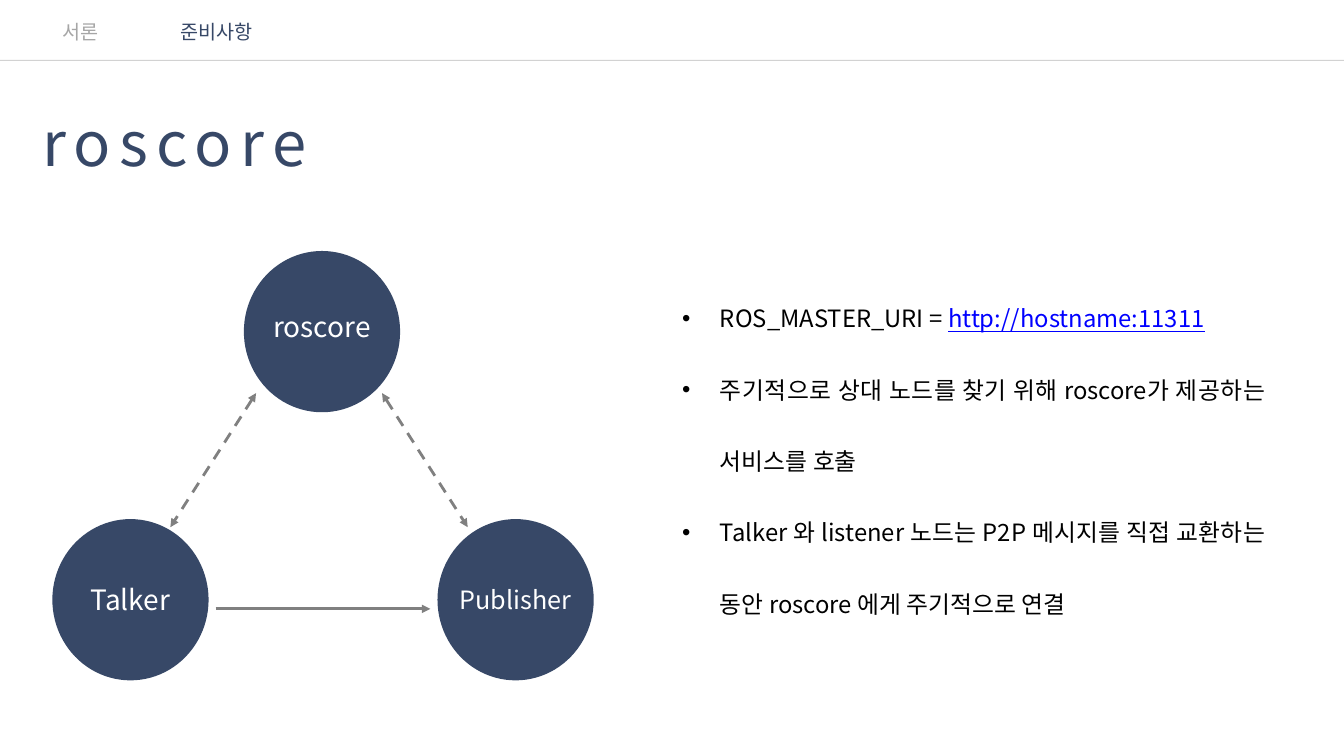
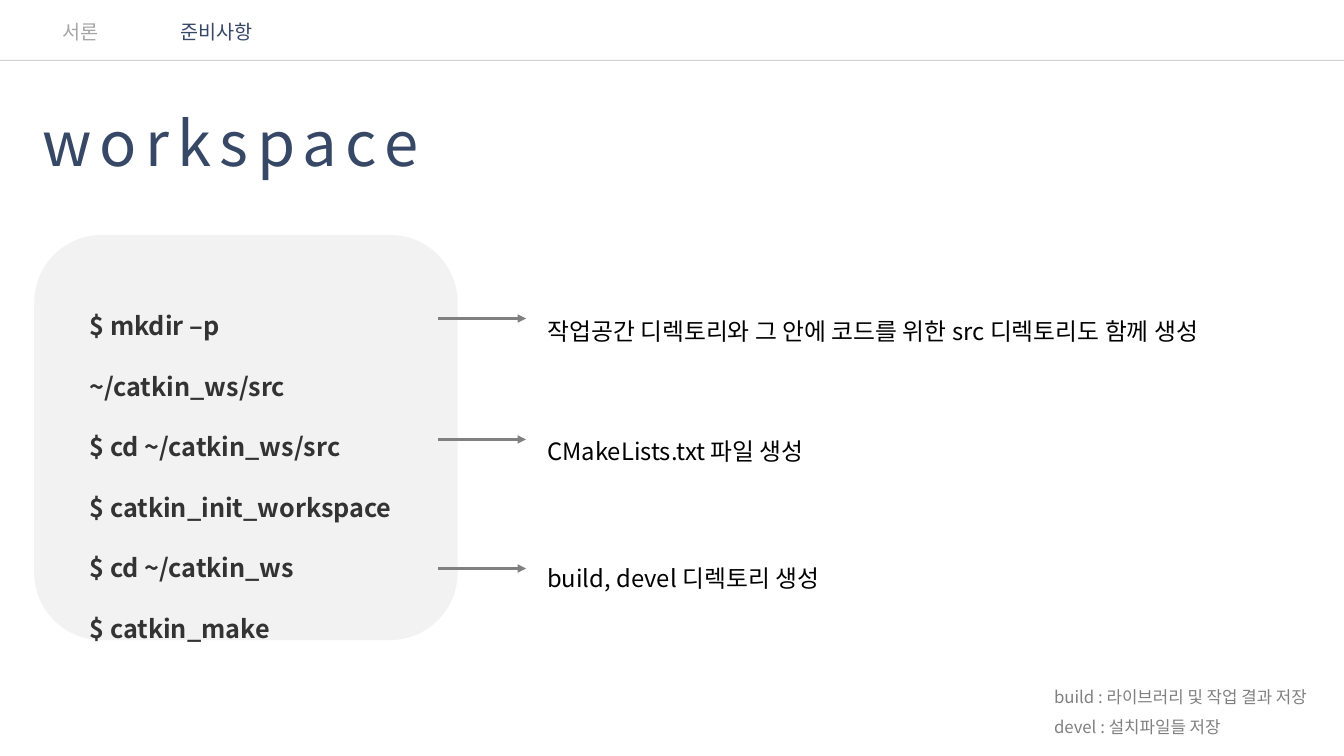
from pptx import Presentation
from pptx.dml.color import RGBColor
from pptx.enum.dml import MSO_LINE
from pptx.enum.shapes import MSO_CONNECTOR, MSO_SHAPE
from pptx.enum.text import MSO_ANCHOR, MSO_AUTO_SIZE, PP_ALIGN
from pptx.oxml.ns import qn
from pptx.util import Pt
from lxml.etree import SubElement

FONT = "Noto Sans CJK KR"
COLORS = {
    "navy": "374867", "pale": "A6A6A6", "gray": "808080", "panel": "F2F2F2",
    "code": "333333", "black": "000000", "white": "FFFFFF", "link": "0000FF",
}
PAGE_WIDTH, PAGE_HEIGHT = 960, 540
HEADER_Y = 43.2

# Section name, left, width, colour
SECTIONS = [("준비사항", 110.2, 89.3, "navy"), ("서론", 15.1, 85, "pale")]

# Label, left, top, text size, lift of the label above the centre
NODE_WIDTH, NODE_HEIGHT = 111.6, 115.2
NODES = [
    ("roscore", 174.2, 179.3, 20, 4),
    ("Publisher", 312.5, 370.8, 18, 0),
    ("Talker", 37.4, 370.8, 20, 0),
]
# Start, end, two-way
NODE_LINKS = [
    ((272.9, 280.8), (334.1, 376.6), True),
    ((182.9, 280.8), (121.7, 376.6), True),
    ((154.1, 434.9), (307.4, 434.9), False),
]
ROSCORE_POINTS = [
    ["ROS_MASTER_URI = ", "http://hostname:11311"],
    ["주기적으로 상대 노드를 찾기 위해 roscore가 제공하는 서비스를 호출"],
    ["Talker 와 listener 노드는 P2P 메시지를 직접 교환하는 동안 roscore 에게 주기적으로 연결"],
]

COMMANDS = [
    "$ mkdir –p ~/catkin_ws/src",
    "$ cd ~/catkin_ws/src",
    "$ catkin_init_workspace",
    "$ cd ~/catkin_ws",
    "$ catkin_make",
]
# Result, arrow height, text top
RESULTS = [
    ("작업공간 디렉토리와 그 안에 코드를 위한 src 디렉토리도 함께 생성", 227.5, 192.2),
    ("CMakeLists.txt 파일 생성", 313.9, 277.9),
    ("build, devel 디렉토리 생성", 406.1, 368.6),
]
FOLDER_NOTES = ["build : 라이브러리 및 작업 결과 저장", "devel : 설치파일들 저장"]


def rgb(name):
    return RGBColor.from_string(COLORS[name])


def style_span(span, size, color, bold=False, spacing=0):
    font = span.font
    font.name, font.size, font.bold = FONT, Pt(size), bold
    font.color.rgb = rgb(color)
    properties = span._r.get_or_add_rPr()
    SubElement(properties, qn("a:ea"), typeface=FONT)
    if spacing:
        properties.set("spc", str(spacing * 100))


def add_text(page, lines, left, top, width, height, size, color,
             align=PP_ALIGN.JUSTIFY, line_spacing=None, **style):
    """Add a text box; each line is a list of runs or a single string."""
    box = page.shapes.add_textbox(Pt(left), Pt(top), Pt(width), Pt(height))
    frame = box.text_frame
    frame.word_wrap = True
    frame.auto_size = MSO_AUTO_SIZE.SHAPE_TO_FIT_TEXT
    for index, line in enumerate(lines):
        para = frame.add_paragraph() if index else frame.paragraphs[0]
        para.alignment = align
        if line_spacing:
            para.line_spacing = line_spacing
        for text in [line] if isinstance(line, str) else line:
            span = para.add_run()
            span.text = text
            style_span(span, size, color, **style)
    return box


def add_bullet(para, indent):
    properties = para._p.get_or_add_pPr()
    properties.set("marL", str(Pt(indent)))
    properties.set("indent", str(-Pt(indent)))
    SubElement(properties, qn("a:buFont"), typeface="Arial")
    SubElement(properties, qn("a:buChar"), char="•")


def add_line(page, start, end, color="gray", width=2):
    line = page.shapes.add_connector(
        MSO_CONNECTOR.STRAIGHT, *(Pt(value) for value in (*start, *end)))
    line.line.color.rgb = rgb(color)
    line.line.width = Pt(width)
    SubElement(line._element.spPr, qn("a:effectLst"))
    return line


def add_arrow(page, start, end, two_way=False):
    """Add an arrow; a two-way arrow is dashed."""
    arrow = add_line(page, start, end)
    if two_way:
        arrow.line.dash_style = MSO_LINE.DASH
    outline = arrow.line._get_or_add_ln()
    for tag in ("a:headEnd", "a:tailEnd") if two_way else ("a:tailEnd",):
        SubElement(outline, qn(tag), type="triangle")


def add_filled_shape(page, kind, left, top, width, height, color):
    shape = page.shapes.add_shape(kind, Pt(left), Pt(top), Pt(width), Pt(height))
    shape.shadow.inherit = False
    shape.fill.solid()
    shape.fill.fore_color.rgb = rgb(color)
    shape.line.fill.background()
    return shape


def add_page(deck, title):
    """Add a page with the header rule, section names and title."""
    page = deck.slides.add_slide(deck.slide_layouts[6])
    rule = add_line(page, (PAGE_WIDTH, HEADER_Y), (0, HEADER_Y), "pale", 0.75)
    color = rule.line._get_or_add_ln().find(".//" + qn("a:srgbClr"))
    SubElement(color, qn("a:alpha"), val="50000")
    add_text(page, [title], 23, 71.3, 491, 60.5, 44, "navy", spacing=6)
    for name, left, width, tint in SECTIONS:
        add_text(page, [name], left, 10.8, width, 24.5, 14, tint, PP_ALIGN.CENTER)
    return page


def add_node(page, label, left, top, size, lift):
    node = add_filled_shape(page, MSO_SHAPE.OVAL, left, top,
                            NODE_WIDTH, NODE_HEIGHT, "navy")
    frame = node.text_frame
    frame.text = label
    frame.word_wrap = False
    frame.vertical_anchor = MSO_ANCHOR.MIDDLE
    frame.margin_top, frame.margin_bottom = 0, Pt(2 * lift)
    para = frame.paragraphs[0]
    para.alignment = PP_ALIGN.CENTER
    style_span(para.runs[0], size, "white")


def build_roscore(deck):
    page = add_page(deck, "roscore")
    for node in NODES:
        add_node(page, *node)
    for link in NODE_LINKS:
        add_arrow(page, *link)
    points = add_text(page, ROSCORE_POINTS, 480.2, 182.9, 430.6, 265,
                      17, "black", line_spacing=2.5)
    paragraphs = points.text_frame.paragraphs
    for para in paragraphs:
        add_bullet(para, 27)
    address = paragraphs[0].runs[1].font
    address.color.rgb = rgb("link")
    address.underline = True


def build_workspace(deck):
    page = add_page(deck, "workspace")
    add_filled_shape(page, MSO_SHAPE.ROUNDED_RECTANGLE,
                     24.5, 167.8, 302.4, 289.4, "panel")
    add_text(page, COMMANDS, 56.9, 196.6, 247.7, 225.4, 18, "code",
             PP_ALIGN.LEFT, 2.0, bold=True)
    for result, arrow_y, top in RESULTS:
        add_arrow(page, (313.2, arrow_y), (375.8, arrow_y))
        add_text(page, [result], 383.8, top, 499, 59, 17, "black",
                 line_spacing=2.5)
    add_text(page, FOLDER_NOTES, 745.8, 479.5, 212.5, 51, 12, "gray",
             line_spacing=1.5)


def main():
    deck = Presentation()
    deck.slide_width, deck.slide_height = Pt(PAGE_WIDTH), Pt(PAGE_HEIGHT)
    build_roscore(deck)
    build_workspace(deck)
    deck.save("out.pptx")


if __name__ == "__main__":
    main()
